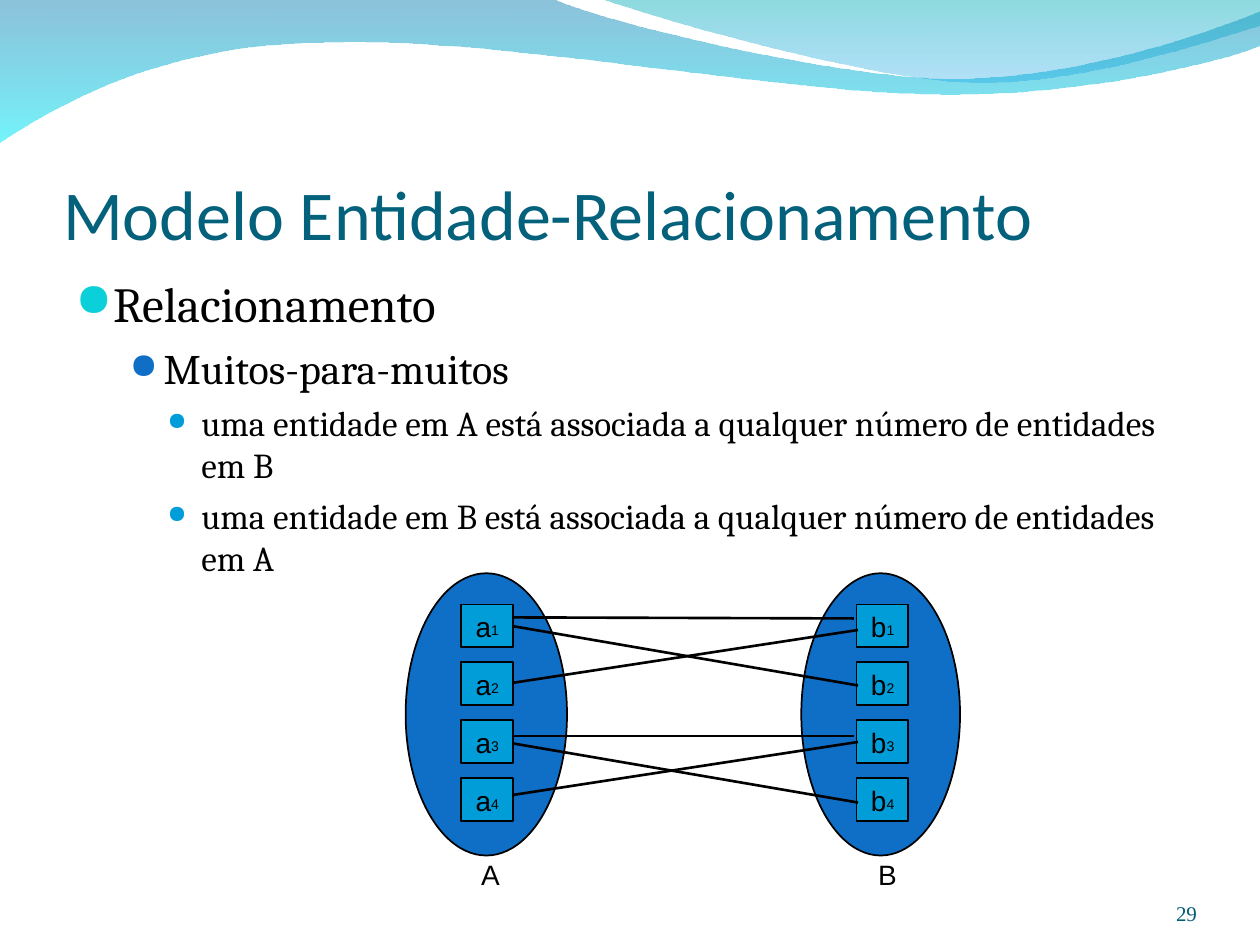
from lxml.etree import SubElement
from pptx import Presentation
from pptx.dml.color import RGBColor
from pptx.enum.shapes import MSO_CONNECTOR as CONN, MSO_SHAPE as SHAPE
from pptx.enum.text import MSO_ANCHOR as ANCHOR, MSO_AUTO_SIZE as AUTO, PP_ALIGN as ALIGN
from pptx.oxml.ns import qn
from pptx.util import Pt

COLORS = {
    "title": "04617B", "number": "045C75", "black": "000000",
    "set": "0F6FC6", "entity": "009DD9", "bullet": "0BD0D9",
    "wave_top": "0079AF", "wave_end": "00EBF8",
    "crest_top": "00ADB6", "crest_end": "009BE5",
}
LEVELS = [
    dict(left=21.6, hang=21.6, before=0, color="bullet", percent=95, size=28),
    dict(left=50.4, hang=19.4, before=6, color="set", percent=85, size=24),
    dict(left=72, hang=19.4, before=5, color="entity", percent=70, size=20),
]
BODY = [
    (0, "Relacionamento"),
    (1, "Muitos-para-muitos"),
    (2, "uma entidade em A está associada a qualquer número de entidades em B"),
    (2, "uma entidade em B está associada a qualquer número de entidades em A"),
]
WAVE = [
    [(0, 0)], [(317, 0)],
    [(343, 12), (478, 45), (546, 45)], [(614, 45), (690, 19), (720, 6.5)],
    [(720, 26)],
    [(708, 32), (626, 55), (537, 54)], [(448, 54), (275, 20), (185, 24.5)],
    [(93, 25), (33, 60), (0, 81.5)],
]
CREST = [
    [(345, 0)],
    [(366.5, 8), (491, 44.5), (553.5, 47)], [(616, 49.5), (692, 23), (720, 15)],
    [(720, 0)],
]
LINKS = [
    (352.8, 488, 353.4), (420.5, 488, 420.5), (390.2, 490.3, 360),
    (454.3, 490.3, 424), (424.8, 490.3, 458.6), (357.8, 490.3, 391.7),
]
ROW_TOP, ROW_STEP = 345.5, 33


def rgb(name):
    """Return the named colour."""
    return RGBColor.from_string(COLORS[name])


def add_run(p, text, size, font, color="black"):
    """Add formatted text to a paragraph."""
    r = p.add_run()
    r.text = text
    r.font.size, r.font.name = Pt(size), font
    r.font.color.rgb = rgb(color)


def set_frame(tf, margins=(0, 0, 0, 0), anchor=ANCHOR.TOP, wrap=True):
    """Set the margins, anchor and wrapping of a text frame."""
    tf.margin_left, tf.margin_top, tf.margin_right, tf.margin_bottom = map(Pt, margins)
    tf.vertical_anchor, tf.word_wrap, tf.auto_size = anchor, wrap, AUTO.NONE


def add_text(s, text, left, top, width, height, size=16, font="Arial",
             color="black", align=ALIGN.LEFT, anchor=ANCHOR.TOP, wrap=False):
    """Add a one-paragraph text box."""
    tf = s.shapes.add_textbox(Pt(left), Pt(top), Pt(width), Pt(height)).text_frame
    set_frame(tf, anchor=anchor, wrap=wrap)
    tf.paragraphs[0].alignment = align
    add_run(tf.paragraphs[0], text, size, font, color)


def curve_points(start, c1, c2, end, steps=24):
    """Return points along a cubic Bezier curve."""
    points = []
    for i in range(1, steps + 1):
        t = i / steps
        weights = ((1 - t) ** 3, 3 * t * (1 - t) ** 2, 3 * t * t * (1 - t), t ** 3)
        points.append(tuple(sum(w * v for w, v in zip(weights, axis))
                            for axis in zip(start, c1, c2, end)))
    return points


def add_wave(s, segments, stops):
    """Add a curved band with a translucent vertical gradient."""
    points = []
    for seg in segments:
        points += curve_points(points[-1], *seg) if len(seg) == 3 else seg
    points = [(Pt(x), Pt(y)) for x, y in points]
    builder = s.shapes.build_freeform(*points[0])
    builder.add_line_segments(points[1:], close=True)
    sp = builder.convert_to_shape()
    sp.shadow.inherit = False
    sp.line.fill.background()
    sp.fill.gradient()
    sp.fill.gradient_angle = 270
    for stop, (color, _) in zip(sp.fill.gradient_stops, stops):
        stop.color.rgb = rgb(color)
    for clr, (_, opacity) in zip(list(sp._element.spPr.iter(qn("a:srgbClr"))), stops):
        SubElement(clr, qn("a:alpha"), val=str(opacity * 1000))


def add_shape(s, kind, left, top, width, height, color):
    """Add a filled shape with a thin black outline."""
    sp = s.shapes.add_shape(kind, Pt(left), Pt(top), Pt(width), Pt(height))
    sp.shadow.inherit = False
    sp.fill.solid()
    sp.fill.fore_color.rgb = rgb(color)
    sp.line.color.rgb, sp.line.width = rgb("black"), Pt(1)


def add_link(s, x1, y1, x2, y2):
    """Add a straight black line."""
    c = s.shapes.add_connector(CONN.STRAIGHT, Pt(x1), Pt(y1), Pt(x2), Pt(y2))
    c.line.color.rgb, c.line.width = rgb("black"), Pt(1.5)
    SubElement(c._element.spPr, qn("a:effectLst"))


def add_title(s, text):
    """Place and format the title placeholder."""
    sp = s.shapes.title
    sp.left, sp.top, sp.width, sp.height = Pt(36), Pt(55.5), Pt(648), Pt(90)
    set_frame(sp.text_frame, (0, 3.6, 0, 0), ANCHOR.BOTTOM)
    p = sp.text_frame.paragraphs[0]
    p.alignment = ALIGN.LEFT
    add_run(p, text, 40, "Calibri", "title")


def add_body(s, items):
    """Add the bulleted outline."""
    tf = s.shapes.add_textbox(Pt(36), Pt(152.6), Pt(648), Pt(345.6)).text_frame
    set_frame(tf, (7.2, 3.6, 7.2, 3.6))
    for i, (level, text) in enumerate(items):
        p = tf.add_paragraph() if i else tf.paragraphs[0]
        style = LEVELS[level]
        p.level = level
        pPr = p._p.get_or_add_pPr()
        pPr.set("marL", str(Pt(style["left"])))
        pPr.set("indent", str(-Pt(style["hang"])))
        clr = SubElement(pPr, qn("a:buClr"))
        SubElement(clr, qn("a:srgbClr"), val=COLORS[style["color"]])
        SubElement(pPr, qn("a:buSzPct"), val=str(style["percent"] * 1000))
        SubElement(pPr, qn("a:buChar"), char="●")
        p.space_before = Pt(style["before"])
        add_run(p, text, style["size"], "Cambria")


def add_set(s, name, left, width, box_left, name_left):
    """Add an entity set with its four numbered entities."""
    add_shape(s, SHAPE.OVAL, left, 327.6, width, 161.3, "set")
    add_text(s, name, name_left, 490.3, 11, 19.5)
    for i in range(4):
        top = ROW_TOP + i * ROW_STEP
        add_shape(s, SHAPE.RECTANGLE, box_left, top, 29.5, 24.5, "entity")
        add_text(s, name.lower(), box_left + 8.3, top + 3, 8.6, 19.5)
        add_text(s, str(i + 1), box_left + 17.2, top + 9.8, 4.3, 9.5, size=8)


def main():
    """Build and save the slide."""
    prs = Presentation()
    prs.slide_width, prs.slide_height = Pt(720), Pt(540)
    s = prs.slides.add_slide(prs.slide_layouts[5])
    add_wave(s, WAVE, [("wave_top", 45), ("wave_end", 55)])
    add_wave(s, CREST, [("crest_top", 45), ("crest_end", 30)])
    add_title(s, "Modelo Entidade-Relacionamento")
    add_body(s, BODY)
    add_text(s, "29", 624, 500.4, 60, 28.8, size=12, font="Times New Roman",
             color="number", align=ALIGN.RIGHT, anchor=ANCHOR.BOTTOM, wrap=True)
    add_set(s, "B", 457.9, 90.7, 489.4, 501.8)
    add_set(s, "A", 231.8, 92.2, 263.5, 275)
    for y1, x2, y2 in LINKS:
        add_link(s, 293, y1, x2, y2)
    prs.save("out.pptx")


if __name__ == "__main__":
    main()
